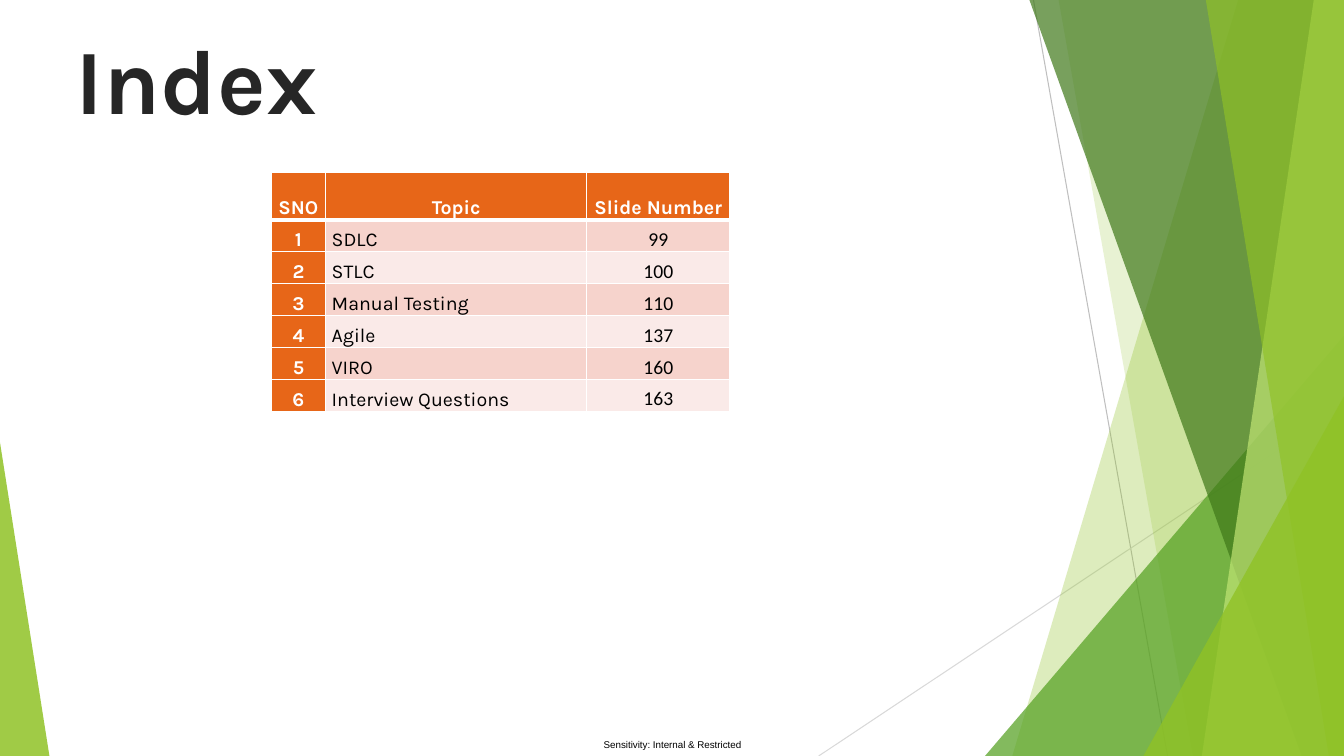
from dataclasses import dataclass

from lxml import etree
from pptx import Presentation
from pptx.dml.color import RGBColor
from pptx.enum.shapes import MSO_CONNECTOR, MSO_SHAPE
from pptx.enum.text import MSO_ANCHOR, PP_ALIGN
from pptx.oxml.ns import qn
from pptx.util import Inches, Pt

STRAIGHT = MSO_CONNECTOR.STRAIGHT
TRIANGLE = MSO_SHAPE.ISOSCELES_TRIANGLE
TOP, MIDDLE, BOTTOM = MSO_ANCHOR.TOP, MSO_ANCHOR.MIDDLE, MSO_ANCHOR.BOTTOM
LEFT, CENTER = PP_ALIGN.LEFT, PP_ALIGN.CENTER


@dataclass(frozen=True)
class Theme:
    white: str = "FFFFFF"
    black: str = "000000"
    title: str = "262626"
    header: str = "E76618"
    bands: tuple = ("F6D3CC", "FAEAE8")
    lime: str = "90C226"
    pale_lime: str = "C0E474"
    green: str = "54A021"
    dark_green: str = "3F7819"
    steep_line: str = "BFBFBF"
    flat_line: str = "D9D9D9"
    heading_font: str = "Karla"
    number_font: str = "Calibri"
    footer_font: str = "Arial"
    title_size: float = 65.7
    table_size: float = 14
    footer_size: float = 7


@dataclass(frozen=True)
class Box:
    left: float
    top: float
    width: float
    height: float

    def lengths(self):
        return [Inches(side) for side in (self.left, self.top, self.width, self.height)]


THEME = Theme()
TOPICS = [
    ("SDLC", 99),
    ("STLC", 100),
    ("Manual Testing", 110),
    ("Agile", 137),
    ("VIRO", 160),
    ("Interview Questions", 163),
]


def add_run(paragraph, text, font, size, color, bold=False):
    run = paragraph.add_run()
    run.text = text
    run.font.name = font
    run.font.size = Pt(size)
    run.font.bold = bold
    run.font.color.rgb = RGBColor.from_string(color)
    return run


def set_margins(target, left, top, right, bottom):
    target.margin_left, target.margin_top = Inches(left), Inches(top)
    target.margin_right, target.margin_bottom = Inches(right), Inches(bottom)


def add_line_xml(parent, tag, color, width):
    line = etree.SubElement(parent, qn(tag), w=str(Pt(width)))
    fill = etree.SubElement(line, qn("a:solidFill"))
    etree.SubElement(fill, qn("a:srgbClr"), val=color)
    return line


def paint(shape, color, opacity):
    shape.shadow.inherit = False
    shape.line.fill.background()
    shape.fill.solid()
    shape.fill.fore_color.rgb = RGBColor.from_string(color)
    color_element = shape.fill._xPr.find(".//" + qn("a:srgbClr"))
    etree.SubElement(color_element, qn("a:alpha"), val=str(opacity * 1000))


def add_ray(slide, start, end, color):
    ray = slide.shapes.add_connector(STRAIGHT, *[Inches(value) for value in start + end])
    ray.line.color.rgb = RGBColor.from_string(color)
    ray.line.width = Pt(0.75)
    etree.SubElement(ray._element.spPr, qn("a:effectLst"))


def add_triangle(slide, box, apex, color, opacity):
    triangle = slide.shapes.add_shape(TRIANGLE, *box.lengths())
    triangle.adjustments[0] = apex
    paint(triangle, color, opacity)


def add_facet(slide, box, top_left, bottom_left, color, opacity):
    right, bottom = box.left + box.width, box.top + box.height
    corners = [(top_left, box.top), (right, box.top), (right, bottom), (bottom_left, bottom)]
    points = [(Inches(x), Inches(y)) for x, y in corners]
    builder = slide.shapes.build_freeform(*points[0])
    builder.add_line_segments(points[1:], close=True)
    paint(builder.convert_to_shape(), color, opacity)


def add_corner_triangle(slide, box, width, height, color, opacity):
    left = box.left + box.width - width
    top = box.top + box.height - height
    add_triangle(slide, Box(left, top, width, height), 1, color, opacity)


def add_facets(slide, box):
    left, top = box.left, box.top
    right, bottom = left + box.width, top + box.height
    add_ray(slide, (left + 2.13, top), (left + 3.46, bottom), THEME.steep_line)
    add_ray(slide, (right, top + 4.03), (left, bottom), THEME.flat_line)
    add_facet(slide, box, left + 4.16, left + 1.92, THEME.lime, 30)
    add_facet(slide, box, left + 2.38, left + 3.71, THEME.lime, 20)
    add_corner_triangle(slide, box, 3.56, 4.17, THEME.green, 72)
    add_facet(slide, box, left + 2.09, left + 4.79, THEME.dark_green, 70)
    add_facet(slide, box, left + 4.91, left + 3.8, THEME.pale_lime, 70)
    add_facet(slide, box, left + 3.84, left + 5.06, THEME.lime, 65)
    add_corner_triangle(slide, box, 1.99, 3.57, THEME.lime, 80)


def add_title(slide, box):
    title = slide.shapes.title
    title.left, title.top, title.width, title.height = box.lengths()
    frame = title.text_frame
    frame.vertical_anchor = TOP
    set_margins(frame, 0.1, 0.13, 0.1, 0)
    paragraph = frame.paragraphs[0]
    paragraph.alignment = LEFT
    run = add_run(paragraph, "Index", THEME.heading_font, THEME.title_size, THEME.title, True)
    properties = run.font._element
    properties.insert(0, add_line_xml(properties, "a:ln", THEME.white, 1.06))


def add_footer(slide, box):
    frame = slide.shapes.add_textbox(*box.lengths()).text_frame
    frame.word_wrap = True
    frame.vertical_anchor = MIDDLE
    set_margins(frame, 0, 0, 0, 0)
    paragraph = frame.paragraphs[0]
    paragraph.alignment = CENTER
    add_run(paragraph, "Sensitivity: Internal & Restricted",
            THEME.footer_font, THEME.footer_size, THEME.black)


def fill_cell(cell, text, row, column):
    is_head = row == 0 or column == 0
    cell.vertical_anchor = BOTTOM
    set_margins(cell, 0.06, 0, 0.06, 0)
    properties = cell._tc.get_or_add_tcPr()
    for side in "LRTB":
        thick = (row == 0 and side == "B") or (row == 1 and side == "T")
        add_line_xml(properties, "a:ln" + side, THEME.white, 3 if thick else 1)
    cell.fill.solid()
    background = THEME.header if is_head else THEME.bands[(row - 1) % 2]
    cell.fill.fore_color.rgb = RGBColor.from_string(background)
    paragraph = cell.text_frame.paragraphs[0]
    paragraph.alignment = LEFT if row and column == 1 else CENTER
    paragraph.line_spacing = 1.07
    font = THEME.number_font if row and column == 2 else THEME.heading_font
    color = THEME.white if is_head else THEME.black
    add_run(paragraph, text, font, THEME.table_size, color, is_head)


def add_index_table(slide, box):
    rows = [("SNO", "Topic", "Slide Number")]
    rows += [(str(number), topic, str(page)) for number, (topic, page) in enumerate(TOPICS, 1)]
    table = slide.shapes.add_table(len(rows), 3, *box.lengths()).table
    table.first_row = table.horz_banding = False
    for column, width in zip(table.columns, (0.54, 2.59, box.width - 3.13)):
        column.width = Inches(width)
    header_height = 0.47
    body_height = (box.height - header_height) / len(TOPICS)
    for row, texts in enumerate(rows):
        table.rows[row].height = Inches(body_height if row else header_height)
        for column, text in enumerate(texts):
            fill_cell(table.cell(row, column), text, row, column)


def main():
    presentation = Presentation()
    presentation.slide_width, presentation.slide_height = Inches(13.33), Inches(7.5)
    slide = presentation.slides.add_slide(presentation.slide_layouts[5])
    add_facets(slide, Box(8.12, 0, 5.21, 7.5))
    add_triangle(slide, Box(0, 4.39, 0.49, 3.11), 0, THEME.lime, 85)
    add_footer(slide, Box(5.85, 7.28, 1.64, 0.22))
    add_title(slide, Box(0.65, 0.09, 9.4, 0.92))
    add_index_table(slide, Box(2.69, 1.71, 4.55, 2.37))
    presentation.save("out.pptx")


if __name__ == "__main__":
    main()
